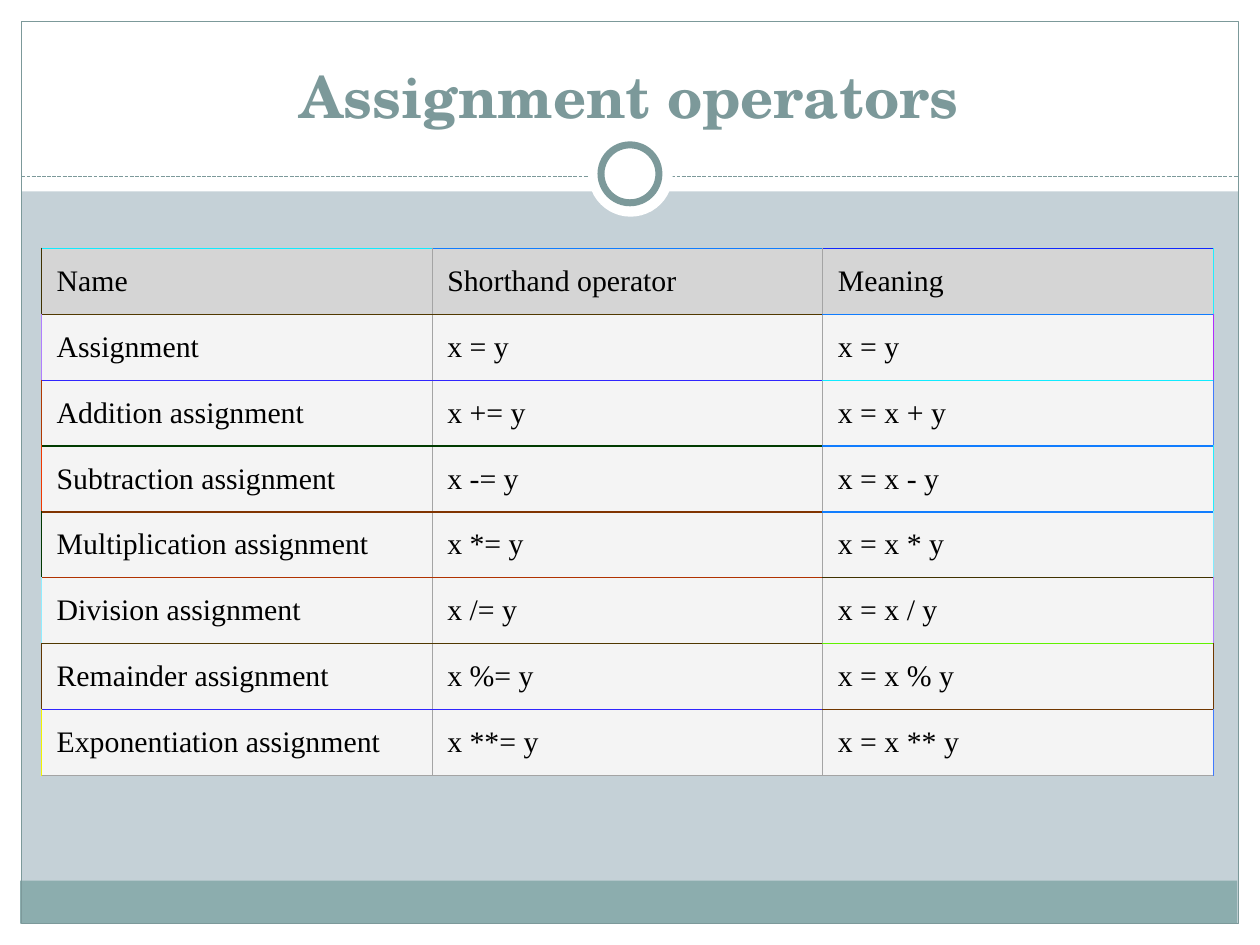
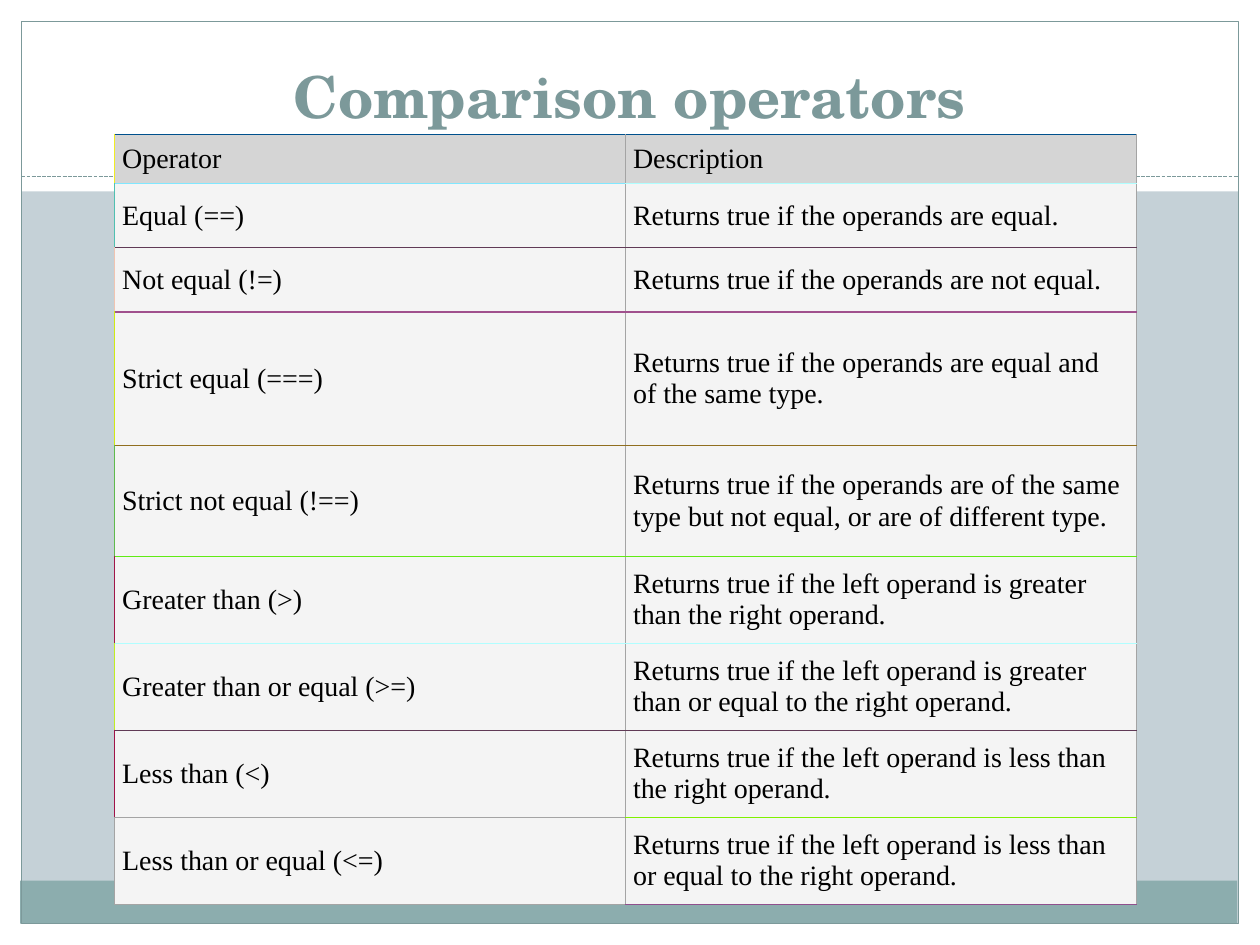
"""Build two slides of operator tables that share one framed design."""
from lxml import etree
from pptx import Presentation
from pptx.dml.color import RGBColor
from pptx.enum.dml import MSO_LINE
from pptx.enum.shapes import MSO_CONNECTOR, MSO_SHAPE
from pptx.enum.text import MSO_ANCHOR, PP_ALIGN
from pptx.oxml.ns import qn
from pptx.util import Inches, Pt

RECTANGLE, OVAL, STRAIGHT = MSO_SHAPE.RECTANGLE, MSO_SHAPE.OVAL, MSO_CONNECTOR.STRAIGHT
SHORT_DASH = MSO_LINE.SQUARE_DOT
MIDDLE, BOTTOM = MSO_ANCHOR.MIDDLE, MSO_ANCHOR.BOTTOM
LEFT, CENTER, JUSTIFY = PP_ALIGN.LEFT, PP_ALIGN.CENTER, PP_ALIGN.JUSTIFY

WHITE, BLACK, BACKGROUND = "FFFFFF", "000000", "C5D1D7"
ACCENT, FOOTER = "7C999A", "8CADAE"
HEADER_FILL, BODY_FILL, GREY = "D5D5D5", "F4F4F4", "A4A4A4"
TITLE_FONT, TABLE_FONT = "TeX Gyre Schola", "Times New Roman"

# kind, box, fill, line width
BANDS = [
    (RECTANGLE, (0, 7.33, 10, 0.17), WHITE, 0),
    (RECTANGLE, (0, 0, 10, 1.52), WHITE, 0),
    (RECTANGLE, (0, 0, 0.17, 7.5), WHITE, 0),
    (RECTANGLE, (9.83, 0, 0.17, 7.5), WHITE, 0),
    (RECTANGLE, (0.16, 6.99, 9.66, 0.34), FOOTER, 0),
    (RECTANGLE, (0.17, 0.17, 9.66, 7.16), None, 0.75),
]
RINGS = [
    (OVAL, (4.67, 1.05, 0.67, 0.67), WHITE, 0),
    (OVAL, (4.77, 1.15, 0.46, 0.46), WHITE, 4),
]

SLIDES = [
    {
        "title": "Assignment operators",
        "rows": [
            ("Name", "Shorthand operator", "Meaning"),
            ("Assignment", "x = y", "x = y"),
            ("Addition assignment", "x += y", "x = x + y"),
            ("Subtraction assignment", "x -= y", "x = x - y"),
            ("Multiplication assignment", "x *= y", "x = x * y"),
            ("Division assignment", "x /= y", "x = x / y"),
            ("Remainder assignment", "x %= y", "x = x % y"),
            ("Exponentiation assignment", "x **= y", "x = x ** y"),
        ],
        "left": 0.33, "top": 1.97, "width": 9.3,
        "heights": [0.51] * 8,
        "size": 17, "inset": 0.12, "align": JUSTIFY,
        "rules": [
            ("10EBFF", "107DFE", "1028FE"),
            ("503800", "503800", "107CFE"),
            ("3025FE", "3025FE", "10EBFF"),
            ("003B00", "003B00", "107CFE"),
            ("803300", "803300", "107DFE"),
            ("B03200", "B03200", "403100"),
            ("503800", "503800", "60F100"),
            ("3025FE", "3025FE", "703700"),
            (GREY, GREY, GREY),
        ],
        "left_edge": ["403100", "B07EFE", "B03800", "F03800",
                      "003800", "90EDFF", "603500", "F0F300"],
        "right_edge": ["20EEFF", "B02BFE", "407AFE", "20EEFF",
                       "80ECFF", "B07CFE", "703700", "407AFE"],
    },
    {
        "title": "Comparison operators",
        "rows": [
            ("Operator", "Description"),
            ("Equal (==)", "Returns true if the operands are equal."),
            ("Not equal (!=)", "Returns true if the operands are not equal."),
            ("Strict equal (===)",
             "Returns true if the operands are equal and of the same type."),
            ("Strict not equal (!==)",
             "Returns true if the operands are of the same type but not equal, "
             "or are of different type."),
            ("Greater than (>)",
             "Returns true if the left operand is greater than the right operand."),
            ("Greater than or equal (>=)",
             "Returns true if the left operand is greater than or equal to the right operand."),
            ("Less than (<)",
             "Returns true if the left operand is less than the right operand."),
            ("Less than or equal (<=)",
             "Returns true if the left operand is less than or equal to the right operand."),
        ],
        "left": 0.91, "top": 1.07, "width": 8.11,
        "heights": [0.33, 0.51, 0.51, 1.06, 0.88] + [0.69] * 4,
        "size": 16, "inset": 0.06, "align": LEFT,
        "rules": [
            ("00518D", "00518D"),
            ("80E7FF", "B0FEFF"),
            ("603A56", "603A56"),
            ("A0508D", "A0508D"),
            ("906E1F", "906E1F"),
            ("60EB14", "60EB14"),
            ("B0FEFF", "B0FEFF"),
            ("603A56", "603A56"),
            (GREY, "80F100"),
            (GREY, "90508D"),
        ],
        "left_edge": ["F0ED24", "50C0B1", "F0C4B1", "D0EA14", "60BA4C",
                      "A01648", "C0ED24", "A01348", GREY],
        "right_edge": [GREY] * 9,
    },
]


def color(value):
    return RGBColor.from_string(value)


def add_block(slide, kind, box, fill, line_width):
    shape = slide.shapes.add_shape(kind, *map(Inches, box))
    shape.shadow.inherit = False
    if fill:
        shape.fill.solid()
        shape.fill.fore_color.rgb = color(fill)
    else:
        shape.fill.background()
    if line_width:
        shape.line.color.rgb = color(ACCENT)
        shape.line.width = Pt(line_width)
    else:
        shape.line.fill.background()


def add_divider(slide):
    points = map(Inches, (0.17, 1.4, 9.83, 1.4))
    connector = slide.shapes.add_connector(STRAIGHT, *points)
    connector.line.color.rgb = color(ACCENT)
    connector.line.width = Pt(0.75)
    connector.line.dash_style = SHORT_DASH
    etree.SubElement(connector._element.spPr, qn("a:effectLst"))


def write(text_frame, text, font_name, size, text_color, align, bold=False):
    paragraph = text_frame.paragraphs[0]
    paragraph.alignment = align
    run = paragraph.add_run()
    run.text = text
    run.font.name = font_name
    run.font.size = Pt(size)
    run.font.bold = bold
    run.font.color.rgb = color(text_color)


def add_title(slide, text):
    box = slide.shapes.add_textbox(*map(Inches, (0.33, 0.25, 9.33, 0.83)))
    box.text_frame.word_wrap = True
    box.text_frame.vertical_anchor = BOTTOM
    write(box.text_frame, text, TITLE_FONT, 33, ACCENT, CENTER, True)


def set_borders(cell, left, right, top, bottom):
    properties = cell._tc.get_or_add_tcPr()
    for side, value in zip("LRTB", (left, right, top, bottom)):
        line = etree.SubElement(properties, qn(f"a:ln{side}"), w=str(Pt(0.75)))
        fill = etree.SubElement(line, qn("a:solidFill"))
        etree.SubElement(fill, qn("a:srgbClr"), val=value)


def add_operator_table(slide, content):
    rows, rules = content["rows"], content["rules"]
    column_count = len(rows[0])
    box = (content["left"], content["top"], content["width"], sum(content["heights"]))
    frame = slide.shapes.add_table(len(rows), column_count, *map(Inches, box))
    table = frame.table
    for column in table.columns:
        column.width = Inches(content["width"] / column_count)
    for row_index, texts in enumerate(rows):
        table.rows[row_index].height = Inches(content["heights"][row_index])
        inner = [GREY] * (column_count - 1)
        verticals = [content["left_edge"][row_index], *inner, content["right_edge"][row_index]]
        for column_index, text in enumerate(texts):
            cell = table.cell(row_index, column_index)
            set_borders(cell, *verticals[column_index:column_index + 2],
                        rules[row_index][column_index], rules[row_index + 1][column_index])
            cell.fill.solid()
            cell.fill.fore_color.rgb = color(BODY_FILL if row_index else HEADER_FILL)
            cell.vertical_anchor = MIDDLE
            inset = Inches(content["inset"])
            cell.margin_left = cell.margin_right = inset
            cell.margin_top = cell.margin_bottom = inset
            write(cell.text_frame, text, TABLE_FONT, content["size"], BLACK, content["align"])


def main():
    presentation = Presentation()
    presentation.slide_width, presentation.slide_height = Inches(10), Inches(7.5)
    for content in SLIDES:
        slide = presentation.slides.add_slide(presentation.slide_layouts[6])
        slide.background.fill.solid()
        slide.background.fill.fore_color.rgb = color(BACKGROUND)
        for band in BANDS:
            add_block(slide, *band)
        add_divider(slide)
        for ring in RINGS:
            add_block(slide, *ring)
        add_title(slide, content["title"])
        add_operator_table(slide, content)
    presentation.save("out.pptx")


if __name__ == "__main__":
    main()
